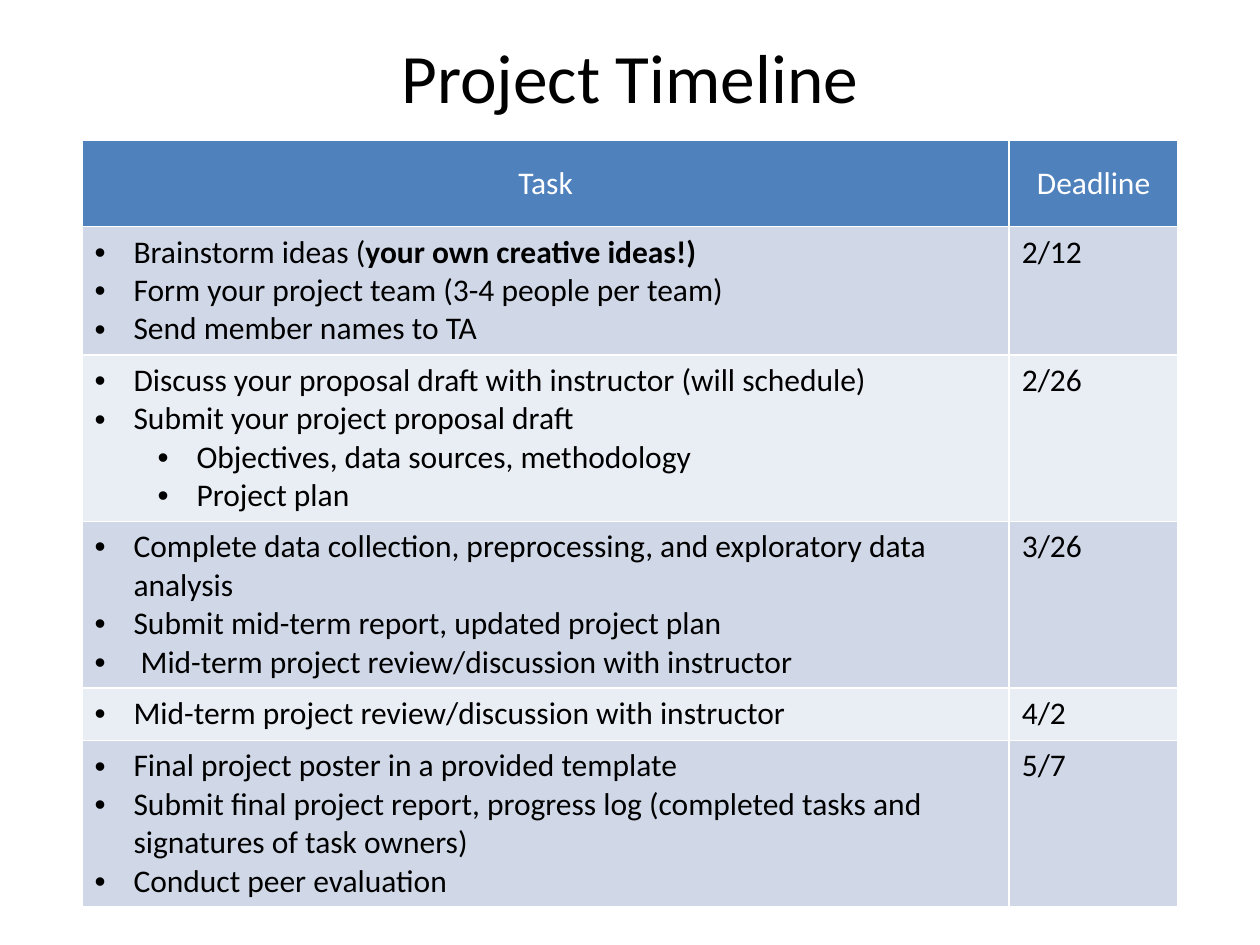
from lxml import etree
from pptx import Presentation
from pptx.dml.color import RGBColor
from pptx.enum.text import MSO_ANCHOR, PP_ALIGN
from pptx.oxml.ns import qn
from pptx.util import Inches, Pt

CENTER, LEFT = PP_ALIGN.CENTER, PP_ALIGN.LEFT
MIDDLE, TOP = MSO_ANCHOR.MIDDLE, MSO_ANCHOR.TOP

BLACK = RGBColor(0x00, 0x00, 0x00)
WHITE = RGBColor(0xFF, 0xFF, 0xFF)
HEADER_BLUE = RGBColor(0x4F, 0x81, 0xBD)
BANDS = (RGBColor(0xD0, 0xD8, 0xE8), RGBColor(0xE9, 0xED, 0xF4))

WIDTH, HEIGHT = 10, 7.5
COLUMNS = (7.36, 1.34)
HEADER_HEIGHT, LINE_HEIGHT, CELL_PADDING = 0.69, 0.3, 0.12
HANGING, LEVEL_STEP = 0.31, 0.5

HEADINGS = ("Task", "Deadline")
MILESTONES = [
    ("2/12", 3, [
        (0, ["Brainstorm ideas (", "your own creative ideas!)"]),
        (0, ["Form your project team (3-4 people per team)"]),
        (0, ["Send member names to TA"]),
    ]),
    ("2/26", 4, [
        (0, ["Discuss your proposal draft with instructor (will schedule)"]),
        (0, ["Submit your project proposal draft"]),
        (1, ["Objectives, data sources, methodology"]),
        (1, ["Project plan"]),
    ]),
    ("3/26", 4, [
        (0, ["Complete data collection, preprocessing, and exploratory data analysis"]),
        (0, ["Submit mid-term report, updated project plan"]),
        (0, [" Mid-term project review/discussion with instructor"]),
    ]),
    ("4/2", 1, [
        (0, ["Mid-term project review/discussion with instructor"]),
    ]),
    ("5/7", 4, [
        (0, ["Final project poster in a provided template"]),
        (0, ["Submit final project report, progress log "
             "(completed tasks and signatures of task owners)"]),
        (0, ["Conduct peer evaluation"]),
    ]),
]


def write(p, *texts, size=18, color=BLACK, align=LEFT, level=None):
    """Write runs into a paragraph, every second one bold; a level adds a bullet."""
    p.alignment = align
    for i, text in enumerate(texts):
        r = p.add_run()
        r.text = text
        r.font.name, r.font.size, r.font.bold = "Calibri", Pt(size), i % 2 == 1
        r.font.color.rgb = color
    if level is not None:
        p.level = level
        pPr = p._p.get_or_add_pPr()
        pPr.set("marL", str(Inches(HANGING + level * LEVEL_STEP)))
        pPr.set("indent", str(-Inches(HANGING)))
        etree.SubElement(pPr, qn("a:buFont"), typeface="Arial")
        etree.SubElement(pPr, qn("a:buChar"), char="•")


class Deck:
    """Holds the style and the current slide; places elements by shares of its size."""

    def __init__(self):
        self.prs = Presentation()
        self.prs.slide_width, self.prs.slide_height = Inches(WIDTH), Inches(HEIGHT)
        self.s = self.prs.slides.add_slide(self.prs.slide_layouts[6])

    def box(self, x, y, w, h):
        """Turn shares of the slide into lengths."""
        width, height = self.prs.slide_width, self.prs.slide_height
        return int(x * width), int(y * height), int(w * width), int(h * height)

    def title(self, text, *shares):
        """Add a centred title."""
        tf = self.s.shapes.add_textbox(*self.box(*shares)).text_frame
        tf.word_wrap, tf.vertical_anchor = True, MIDDLE
        write(tf.paragraphs[0], text, size=39.6, align=CENTER)

    def table(self, columns, rows, *shares):
        """Add a table with the given column widths and row heights in inches."""
        shape = self.s.shapes.add_table(len(rows), len(columns), *self.box(*shares))
        for column, width in zip(shape.table.columns, columns):
            column.width = Inches(width)
        for row, height in zip(shape.table.rows, rows):
            row.height = Inches(height)
        return shape.table

    def cell(self, cell, fill, lines, anchor=TOP, **fmt):
        """Border and fill a cell, then write its lines of (level, texts)."""
        tcPr = cell._tc.get_or_add_tcPr()
        for side in ("lnL", "lnR", "lnT", "lnB"):
            ln = etree.SubElement(tcPr, qn(f"a:{side}"), w=str(Pt(1)))
            solid = etree.SubElement(ln, qn("a:solidFill"))
            etree.SubElement(solid, qn("a:srgbClr"), val=str(WHITE))
        cell.fill.solid()
        cell.fill.fore_color.rgb = fill
        cell.vertical_anchor = anchor
        tf = cell.text_frame
        for i, (level, texts) in enumerate(lines):
            p = tf.add_paragraph() if i else tf.paragraphs[0]
            write(p, *texts, level=level, **fmt)


def main():
    """Build the project timeline slide."""
    deck = Deck()
    deck.title("Project Timeline", 0.05, 0.04, 0.9, 0.08)
    rows = [HEADER_HEIGHT]
    rows += [CELL_PADDING + count * LINE_HEIGHT for _, count, _ in MILESTONES]
    table = deck.table(COLUMNS, rows, 0.065, 0.148,
                       sum(COLUMNS) / WIDTH, sum(rows) / HEIGHT)
    for col, heading in enumerate(HEADINGS):
        deck.cell(table.cell(0, col), HEADER_BLUE, [(None, [heading])],
                  anchor=MIDDLE, color=WHITE, align=CENTER)
    for i, (deadline, _, tasks) in enumerate(MILESTONES):
        band = BANDS[i % 2]
        deck.cell(table.cell(i + 1, 0), band, tasks)
        deck.cell(table.cell(i + 1, 1), band, [(None, [deadline])])
    deck.prs.save("out.pptx")


if __name__ == "__main__":
    main()
